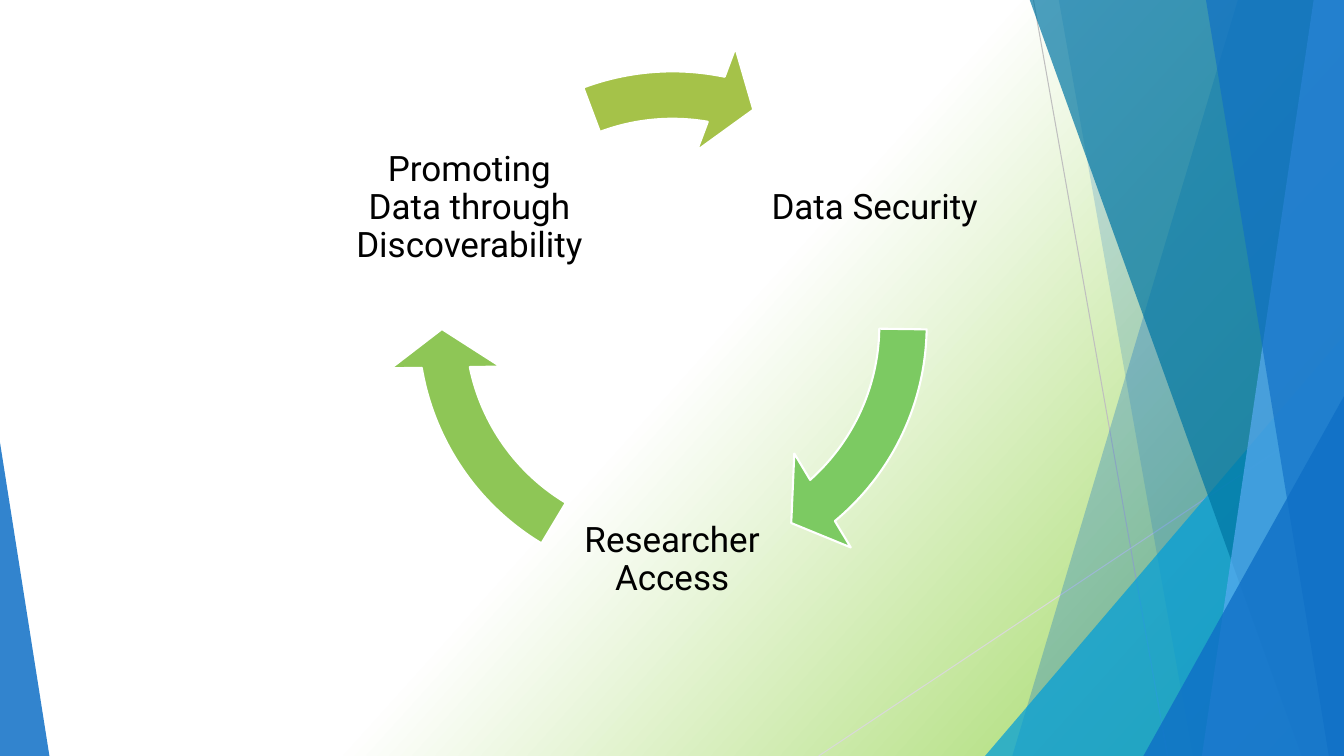
from copy import deepcopy

from pptx import Presentation
from pptx.dml.color import RGBColor
from pptx.enum.shapes import MSO_CONNECTOR, MSO_SHAPE
from pptx.enum.text import MSO_ANCHOR, PP_ALIGN
from pptx.oxml.ns import qn
from pptx.util import Inches, Pt
from lxml import etree

STRAIGHT = MSO_CONNECTOR.STRAIGHT
TRIANGLE = MSO_SHAPE.ISOSCELES_TRIANGLE
CIRCULAR_ARROW = MSO_SHAPE.CIRCULAR_ARROW
MIDDLE = MSO_ANCHOR.MIDDLE
CENTER = PP_ALIGN.CENTER

COLORS = {
    "white": "FFFFFF", "black": "000000", "glow": "95D34F",
    "gray": "BFBFBF", "light gray": "D9D9D9",
    "blue": "0F6FC6", "cyan": "009DD9", "teal": "0076A3", "sky": "59AAF2",
    "green": "7CCA62", "lime": "8EC656", "olive": "A5C249",
}
WIDTH, HEIGHT = 13.33, 7.5


def color(name):
    return RGBColor.from_string(COLORS[name])


def paint(shape, name, opacity=100):
    shape.shadow.inherit = False
    shape.fill.solid()
    shape.fill.fore_color.rgb = color(name)
    if opacity < 100:
        value = shape._element.spPr.find(".//" + qn("a:srgbClr"))
        etree.SubElement(value, qn("a:alpha")).set("val", str(opacity * 1000))


deck = Presentation()
deck.slide_width, deck.slide_height = Inches(WIDTH), Inches(HEIGHT)
page = deck.slides.add_slide(deck.slide_layouts[6])

# Background: white to the middle, then green
background = page.background.fill
background.gradient()
background.gradient_angle = 360 - 42
for stop, name, position in zip(background.gradient_stops, ("white", "glow"), (0, 1)):
    stop.color.rgb = color(name)
    stop.position = position
first_stop = page._element.find(".//" + qn("a:gs"))
middle_stop = deepcopy(first_stop)
middle_stop.set("pos", "50000")
first_stop.addnext(middle_stop)

# Thin lines behind the facets
for x1, y1, x2, y2, name in [
    (10.25, 0, 11.58, HEIGHT, "gray"),
    (WIDTH, 4.03, 8.12, HEIGHT, "light gray"),
]:
    line = page.shapes.add_connector(STRAIGHT, Inches(x1), Inches(y1), Inches(x2), Inches(y2))
    line.line.color.rgb = color(name)
    line.line.width = Pt(0.75)
    etree.SubElement(line._element.spPr, qn("a:effectLst"))

# Facets: bands run from top x and bottom x to the right edge;
# triangles stand on the bottom edge with the peak at one side
for kind, numbers, name, opacity in [
    ("band", (12.28, 10.04), "blue", 30),
    ("band", (10.5, 11.83), "blue", 20),
    ("triangle", (9.77, 3.56, 4.17, 1), "cyan", 72),
    ("band", (10.21, 12.91), "teal", 70),
    ("band", (13.03, 11.92), "sky", 70),
    ("band", (11.96, 13.18), "blue", 65),
    ("triangle", (11.34, 1.99, 3.57, 1), "blue", 80),
    ("triangle", (0, 0.49, 3.11, 0), "blue", 85),
]:
    if kind == "band":
        top_x, bottom_x = numbers
        outline = page.shapes.build_freeform(Inches(top_x), Inches(-0.01))
        outline.add_line_segments([
            (Inches(x), Inches(y))
            for x, y in [(WIDTH, -0.01), (WIDTH, HEIGHT), (bottom_x, HEIGHT)]
        ])
        facet = outline.convert_to_shape()
    else:
        left, width, height, peak = numbers
        facet = page.shapes.add_shape(
            TRIANGLE, Inches(left), Inches(HEIGHT - height), Inches(width), Inches(height))
        facet.adjustments[0] = peak
    paint(facet, name, opacity)
    facet.line.fill.background()

# Cycle: each step with the arrow that follows it
BOX, RING = 2.39, 5.66
for text, left, top, end, start, name in [
    ("Data Security", 7.48, 0.87, 29.631, 0.522, "green"),
    ("Researcher Access", 5.47, 4.36, 101.715, 72.606, "lime"),
    ("Promoting Data through Discoverability", 3.46, 0.87, 168.561, 149.677, "olive"),
]:
    box = page.shapes.add_textbox(Inches(left), Inches(top), Inches(BOX), Inches(BOX))
    frame = box.text_frame
    frame.word_wrap = True
    frame.vertical_anchor = MIDDLE
    for side in ("left", "top", "right", "bottom"):
        setattr(frame, "margin_" + side, Inches(0.03))
    para = frame.paragraphs[0]
    para.alignment = CENTER
    para.line_spacing = 0.9
    span = para.add_run()
    span.text = text
    for key, value in {"name": "Roboto", "size": Pt(25)}.items():
        setattr(span.font, key, value)
    span.font.color.rgb = color("black")

    arrow = page.shapes.add_shape(
        CIRCULAR_ARROW, Inches(3.84), Inches(0.4), Inches(RING), Inches(RING))
    for index, value in enumerate((0.083, 5.763, end, start, 0.096)):
        arrow.adjustments[index] = value
    paint(arrow, name)
    arrow.line.color.rgb = color("white")
    arrow.line.width = Pt(1.5)

deck.save("out.pptx")
